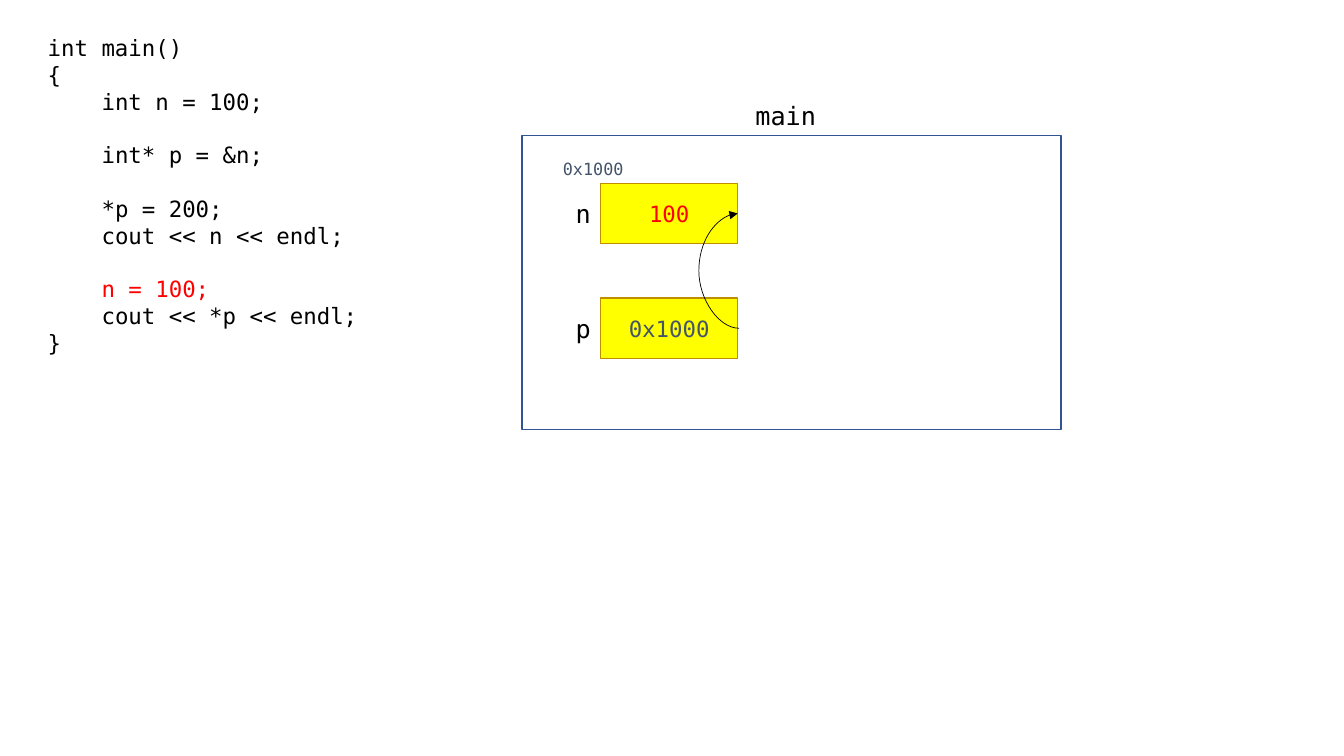
from pptx import Presentation
from pptx.dml.color import RGBColor
from pptx.enum.shapes import MSO_CONNECTOR, MSO_SHAPE
from pptx.enum.text import MSO_ANCHOR, PP_ALIGN
from pptx.oxml.ns import qn
from pptx.util import Pt
from lxml import etree

RECTANGLE = MSO_SHAPE.RECTANGLE
CURVE = MSO_CONNECTOR.CURVE
MIDDLE = MSO_ANCHOR.MIDDLE
CENTER = PP_ALIGN.CENTER

BLACK = RGBColor(0x00, 0x00, 0x00)
WHITE = RGBColor(0xFF, 0xFF, 0xFF)
RED = RGBColor(0xFF, 0x00, 0x00)
YELLOW = RGBColor(0xFF, 0xFF, 0x00)
GOLD = RGBColor(0xBD, 0x8E, 0x00)
BLUE = RGBColor(0x32, 0x54, 0x91)
SLATE = RGBColor(0x44, 0x54, 0x6A)

RIGHT_SITE = 3
CODE_INDENT = Pt(38.5)
CODE_LINE = Pt(19)


class MemorySlide:
    """Holds the style and the slide being drawn."""

    font = "DejaVu Sans Mono"

    def __init__(self, slide):
        self.slide = slide

    def add_run(self, paragraph, text, size, color):
        run = paragraph.add_run()
        run.text = text
        run.font.name = self.font
        run.font.size = Pt(size)
        run.font.color.rgb = color

    def text_frame(self, left, top, width, height):
        box = self.slide.shapes.add_textbox(Pt(left), Pt(top), Pt(width), Pt(height))
        box.text_frame.word_wrap = True
        return box.text_frame

    def label(self, text, left, top, width, height, size=18, color=BLACK):
        frame = self.text_frame(left, top, width, height)
        self.add_run(frame.paragraphs[0], text, size, color)

    def code(self, lines, left, top, width, height):
        frame = self.text_frame(left, top, width, height)
        for number, (text, indented, gap_before, color) in enumerate(lines):
            paragraph = frame.add_paragraph() if number else frame.paragraphs[0]
            if indented:
                paragraph._p.get_or_add_pPr().set("marL", str(CODE_INDENT))
            if gap_before:
                paragraph.space_before = CODE_LINE
            self.add_run(paragraph, text, 16, color)

    def box(self, left, top, width, height, fill, line, text="", color=BLACK):
        shape = self.slide.shapes.add_shape(
            RECTANGLE, Pt(left), Pt(top), Pt(width), Pt(height))
        shape.shadow.inherit = False
        shape.fill.solid()
        shape.fill.fore_color.rgb = fill
        shape.line.color.rgb = line
        shape.line.width = Pt(1)
        if text:
            shape.text_frame.vertical_anchor = MIDDLE
            paragraph = shape.text_frame.paragraphs[0]
            paragraph.alignment = CENTER
            self.add_run(paragraph, text, 16, color)
        return shape

    def curved_arrow(self, source, target, bulge):
        arrow = self.slide.shapes.add_connector(CURVE, 0, 0, 0, 0)
        arrow.begin_connect(source, RIGHT_SITE)
        arrow.end_connect(target, RIGHT_SITE)
        # The bulge is a share of the width, so the width must not be zero
        arrow.width = Pt(1)
        guides = arrow._element.spPr.find(qn("a:prstGeom")).get_or_add_avLst()
        etree.SubElement(guides, qn("a:gd"), name="adj1", fmla=f"val {bulge * 100000}")
        arrow.line.color.rgb = BLACK
        arrow.line.width = Pt(0.5)
        etree.SubElement(arrow.line._get_or_add_ln(), qn("a:tailEnd"), type="triangle")
        etree.SubElement(arrow._element.spPr, qn("a:effectLst"))


presentation = Presentation()
presentation.slide_width = Pt(960)
presentation.slide_height = Pt(540)
memory = MemorySlide(presentation.slides.add_slide(presentation.slide_layouts[6]))

# Program: text, indented, gap before, colour
memory.code([
    ("int main()", False, False, BLACK),
    ("{", False, False, BLACK),
    ("int n = 100;", True, False, BLACK),
    ("int* p = &n;", True, True, BLACK),
    ("*p = 200;", True, True, BLACK),
    ("cout << n << endl;", True, False, BLACK),
    ("n = 100;", True, True, RED),
    ("cout << *p << endl;", True, False, BLACK),
    ("}", False, False, BLACK),
], 27, 21, 289, 245)

# Stack frame of main
memory.box(373, 97, 385, 210, WHITE, BLUE)
memory.label("main", 532.5, 68, 66, 29)

# Variables, one row each
variables = {}
for row, (name, value, color) in enumerate([("n", "100", RED), ("p", "0x1000", SLATE)]):
    top = 131 + 82 * row
    variables[name] = memory.box(429, top, 98, 43, YELLOW, GOLD, value, color)
    memory.label(name, 404, top + 7, 40, 29)
memory.label("0x1000", 395, 110, 62, 22, 12, SLATE)

# Pointer from p to n
memory.curved_arrow(variables["p"], variables["n"], 29)

presentation.save("out.pptx")
